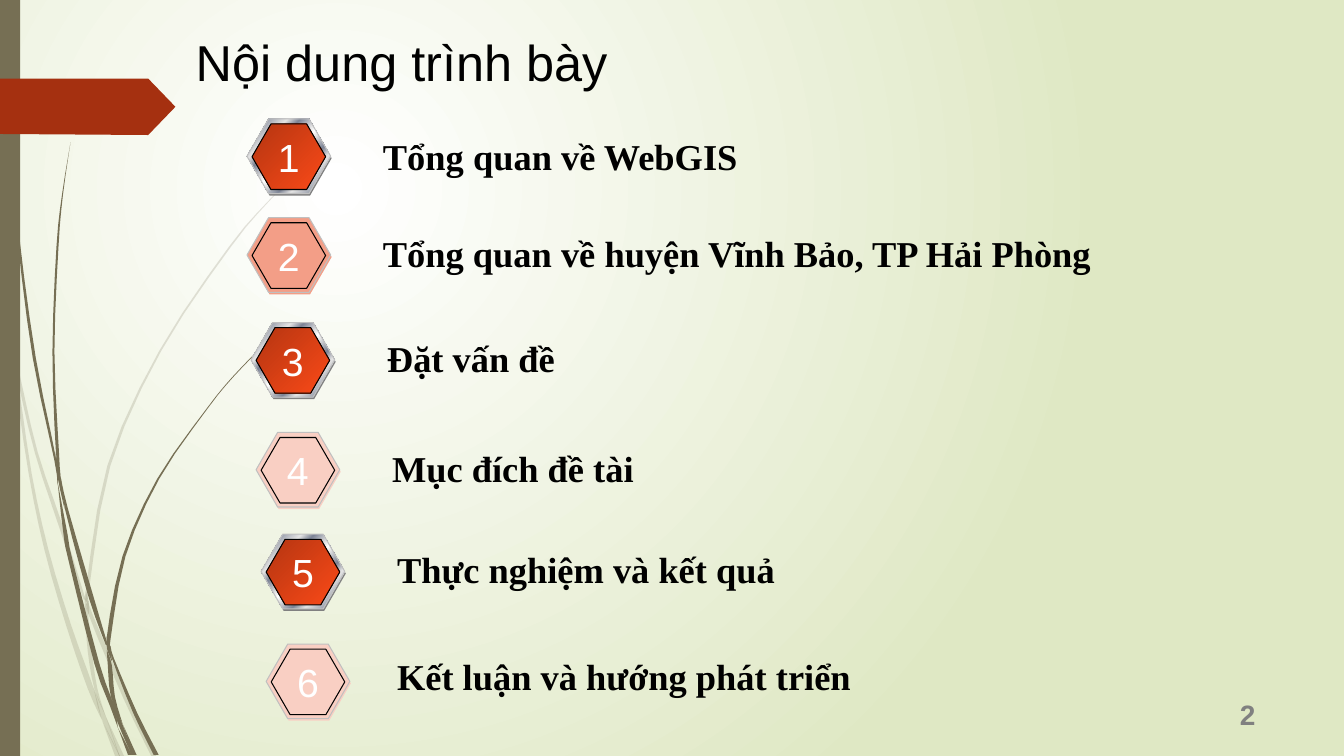
from lxml import etree
from pptx import Presentation
from pptx import util as u
from pptx.dml.color import RGBColor
from pptx.enum import shapes, text
from pptx.oxml import parse_xml
from pptx.oxml.ns import qn, nsdecls

COLORS = {
    "stem": "766F54", "tag": "A53010", "black": "000000", "white": "FFFFFF",
    "meadow": "DFE8C4", "number": "808080", "rim": "C0C0C0", "under": "808080",
    "coral": "F39E87", "blush": "F9CFC3", "ember": "B43511", "flame": "FB4A18",
    "silver": "E6E6E6", "steel": "7D8496",
}
METAL = [(0, "silver"), (8, "steel"), (26, "silver"), (34, "steel"),
         (46, "silver"), (50, "white"), (54, "silver"), (66, "steel"),
         (74, "silver"), (92, "steel"), (100, "silver")]
FIRE = [(0, "ember"), (100, "flame")]
DIAGONAL = '<a:lin ang="2700000" scaled="1"/>'
GLOW = ('<a:path path="circle"><a:fillToRect l="50000" t="50000" '
        'r="100000" b="100000"/></a:path>')
STYLES = {
    "metal": ("under", METAL, FIRE),
    "coral": ("coral", "coral", "coral"),
    "blush": ("blush", "blush", "blush"),
}
TOPICS = [
    ("Tổng quan về WebGIS", "metal", 2.45, 1.18, 3.7, 1.28, 3.91),
    ("Tổng quan về huyện Vĩnh Bảo, TP Hải Phòng", "coral",
     2.45, 2.16, 3.7, 2.24, 7.67),
    ("Đặt vấn đề", "metal", 2.49, 3.2, 3.74, 3.29, 7.07),
    ("Mục đích đề tài", "blush", 2.54, 4.29, 3.79, 4.38, 7.07),
    ("Thực nghiệm và kết quả", "metal", 2.59, 5.3, 3.84, 5.38, 7.07),
    ("Kết luận và hướng phát triển", "blush", 2.64, 6.39, 3.84, 6.44, 7.07),
]
PALE_STEMS = [
    [(0, 2.82, 0), (.07, 3.22, .04), (.11, 3.5, 0)],
    [(.14, 3.45, 0), (.19, 3.76, .03), (.36, 4.49, .03), (.6, 5.21, .04),
     (.84, 5.95, .02)],
    [(.88, 5.96, 0), (.9, 6.1, .04), (1.25, 6.93, .05), (1.53, 7.51, .05)],
    [(1.05, 7.11, 0), (1.21, 7.51, .05)],
    [(.11, 3.5, 0), (.16, 3.76, .03), (.3, 4.7, .03), (.46, 5.45, .04),
     (.68, 6.2, .05), (.9, 6.83, .06), (1.01, 7.14, 0)],
    [(.84, 5.99, 0), (.86, 6.1, .03), (.89, 6.46, .04), (.95, 6.83, .03),
     (1.05, 7.11, 0)],
    [(3.12, 1.53, 0), (2.68, 1.98, .01), (2.28, 2.45, .02), (1.59, 3.48, .02),
     (1.08, 4.62, .03), (.87, 5.84, .03), (.88, 5.96, 0)],
    [(1.01, 7.14, 0), (1.17, 7.51, .05)],
    [(.85, 5.86, 0), (.86, 5.98, .04), (.88, 6.1, 0)],
    [(.93, 6.83, 0), (1.03, 7.12, .05), (1.19, 7.51, 0)],
]
DARK_STEMS = [
    [(.04, 0, .01), (.05, .48, .01), (.08, 1.1, .01), (.18, 2.33, .02),
     (.34, 3.55, .03), (.55, 4.57, .02), (.57, 4.81, 0)],
    [(.6, 4.72, 0), (.66, 5.05, .03), (.9, 5.91, .05), (1.06, 6.4, .02)],
    [(1.1, 6.41, 0), (1.12, 6.53, .02), (1.34, 7.07, .04), (1.55, 7.49, .05)],
    [(.57, 4.77, 0), (.65, 5.3, .04), (.7, 5.56, .04), (.96, 6.58, .05),
     (1.11, 7, .04), (1.17, 7.22, 0)],
    [(.7, 1.41, 0), (.62, 1.93, .01), (.57, 2.45, .02), (.53, 3.49, .02),
     (.57, 4.49, .03), (.6, 4.72, 0)],
    [(1.22, 7.19, 0), (1.34, 7.49, .03)],
    [(.55, 4.49, 0), (.59, 4.75, .03), (.64, 5.05, 0)],
    [(2.6, 3.44, .01), (2.31, 3.74, .01), (2.05, 4.06, .01), (1.57, 4.75, .02),
     (1.23, 5.52, .03), (1.08, 6.32, .04), (1.1, 6.41, 0)],
    [(1.17, 7.22, 0), (1.29, 7.49, .04)],
    [(1.06, 6.45, 0), (1.09, 6.6, .04), (1.12, 6.91, .04), (1.22, 7.19, 0)],
    [(1.06, 6.31, 0), (1.08, 6.43, .04), (1.11, 6.56, 0)],
    [(1.1, 6.91, 0), (1.18, 7.15, .04), (1.32, 7.49, .03)],
]


def rgb(name):
    return RGBColor.from_string(COLORS[name])


def fill_gradient(fill, element, stops, direction):
    fill.gradient()
    default = element.find(".//" + qn("a:gradFill"))
    marks = "".join(
        f'<a:gs pos="{pos * 1000}"><a:srgbClr val="{COLORS[name]}"/></a:gs>'
        for pos, name in stops)
    gradient = parse_xml(f'<a:gradFill {nsdecls("a")} rotWithShape="1">'
                         f'<a:gsLst>{marks}</a:gsLst>{direction}</a:gradFill>')
    default.getparent().replace(default, gradient)


def paint(shape, fill, line=None):
    shape.shadow.inherit = False
    if isinstance(fill, str):
        shape.fill.solid()
        shape.fill.fore_color.rgb = rgb(fill)
    else:
        fill_gradient(shape.fill, shape.element, fill, DIAGONAL)
    if line:
        shape.line.color.rgb = rgb(line)
        shape.line.width = u.Pt(0.75)
    else:
        shape.line.fill.background()


def write(shape, words, size, font, color, bold=False, wrap=True,
          align=text.PP_ALIGN.LEFT, anchor=text.MSO_ANCHOR.TOP):
    frame = shape.text_frame
    frame.text = words
    frame.word_wrap = wrap
    frame.auto_size = text.MSO_AUTO_SIZE.NONE
    frame.vertical_anchor = anchor
    paragraph = frame.paragraphs[0]
    paragraph.alignment = align
    style = paragraph.runs[0].font
    style.size, style.name, style.bold = u.Pt(size), font, bold
    style.color.rgb = rgb(color)


def place(shape, *box):
    shape.left, shape.top, shape.width, shape.height = map(u.Inches, box)


def add_label(slide, box, words, *style, **options):
    label = slide.shapes.add_textbox(*map(u.Inches, box))
    write(label, words, *style, **options)


def add_outline(slide, points, color):
    corners = [(u.Inches(x), u.Inches(y)) for x, y in points]
    builder = slide.shapes.build_freeform(*corners[0])
    builder.add_line_segments(corners[1:], close=True)
    outline = builder.convert_to_shape()
    paint(outline, color)
    return outline


def smooth_curve(knots, steps=3):
    padded = [knots[0], *knots, knots[-1]]
    curve = []
    for a, b, c, d in zip(padded, padded[1:], padded[2:], padded[3:]):
        for step in range(steps):
            t = step / steps
            curve.append([
                (2 * q + (r - p) * t + (2 * p - 5 * q + 4 * r - s) * t ** 2
                 + (3 * q - p - 3 * r + s) * t ** 3) / 2
                for p, q, r, s in zip(a, b, c, d)])
    return curve + [knots[-1]]


def add_stem(slide, knots, opacity=None):
    curve = smooth_curve(knots)
    left_edge = [(x - width / 2, y) for x, y, width in curve]
    right_edge = [(x + width / 2, y) for x, y, width in reversed(curve)]
    stem = add_outline(slide, left_edge + right_edge, "stem")
    if opacity:
        color = stem.element.spPr.find(qn("a:solidFill"))[0]
        etree.SubElement(color, qn("a:alpha")).set("val", str(opacity * 1000))


def add_hexagon(slide, box, fill, line=None):
    hexagon = slide.shapes.add_shape(shapes.MSO_SHAPE.HEXAGON,
                                     *map(u.Inches, box))
    hexagon.adjustments[0] = 0.289
    hexagon.adjustments[1] = 1.155
    paint(hexagon, fill, line)
    return hexagon


def add_badge(slide, number, style, left, top):
    under, plate, face = STYLES[style]
    add_hexagon(slide, (left + .01, top + .02, .83, .74), under)
    add_hexagon(slide, (left, top, .83, .74), plate, "rim")
    front = add_hexagon(slide, (left + .05, top + .05, .73, .65), face, "black")
    write(front, str(number), 28, "Arial", "white", wrap=False,
          align=text.PP_ALIGN.CENTER, anchor=text.MSO_ANCHOR.MIDDLE)


def add_scenery(slide):
    fill_gradient(slide.background.fill, slide.element,
                  [(0, "white"), (100, "meadow")], GLOW)
    for knots in PALE_STEMS:
        add_stem(slide, knots, opacity=20)
    for knots in DARK_STEMS:
        add_stem(slide, knots)
    bar = slide.shapes.add_shape(shapes.MSO_SHAPE.RECTANGLE, 0, 0,
                                 u.Inches(.2), u.Inches(7.5))
    paint(bar, "stem")
    add_outline(slide, [(0, .78), (1.47, .78), (1.74, 1.06),
                        (1.47, 1.34), (0, 1.33)], "tag")


def main():
    deck = Presentation()
    deck.slide_width, deck.slide_height = u.Inches(13.33), u.Inches(7.5)
    slide = deck.slides.add_slide(deck.slide_layouts[5])
    add_scenery(slide)
    heading = slide.shapes.title
    place(heading, 1.84, .26, 4.33, .71)
    write(heading, "Nội dung trình bày", 36, "Arial", "black", wrap=False)
    for number, topic in enumerate(TOPICS, 1):
        words, style, left, top, label_left, label_top, label_width = topic
        add_badge(slide, number, style, left, top)
        add_label(slide, (label_left, label_top, label_width, .54), words,
                  26, "Times New Roman", "black", bold=True)
    add_label(slide, (11.7, 6.89, .85, .4), "2", 20, "Arial", "number",
              bold=True, align=text.PP_ALIGN.RIGHT,
              anchor=text.MSO_ANCHOR.MIDDLE)
    deck.save("out.pptx")


main()
